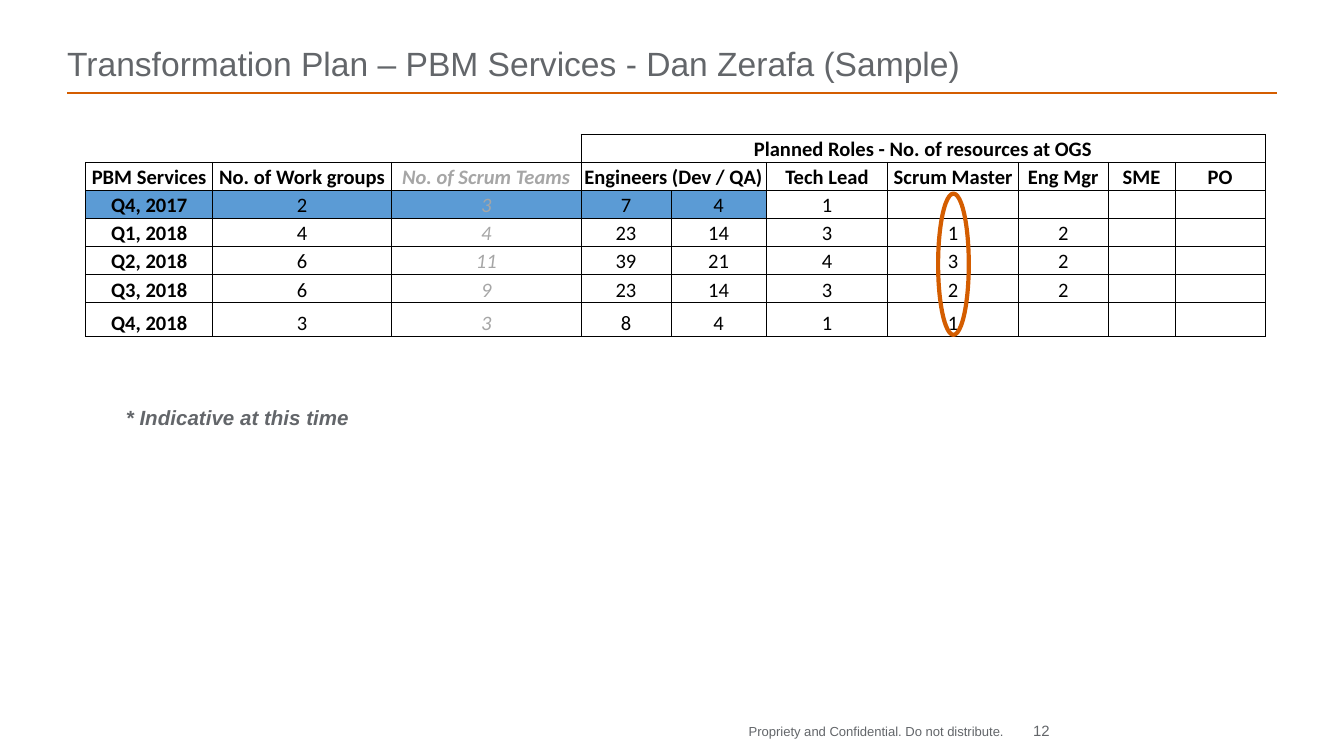
from lxml import etree
from pptx import Presentation
from pptx.dml.color import RGBColor
from pptx.enum import shapes, text
from pptx.oxml import ns
from pptx.util import Cm, Pt

ORANGE = RGBColor(0xD4, 0x5D, 0x00)
GRAY = RGBColor(0x63, 0x66, 0x6A)
LIGHT_GRAY = RGBColor(0xA6, 0xA6, 0xA6)
BLUE = RGBColor(0x5B, 0x9B, 0xD5)
BLACK = RGBColor(0x00, 0x00, 0x00)

COLUMN_WIDTHS = [2.4, 3.38, 3.58, 1.7, 1.8, 2.3, 2.47, 1.69, 1.27, 1.7]
ROW_HEIGHTS = [0.53] * 6 + [0.63]
TEAMS_COLUMN = 2
ROLES_COLUMN = 3
HIGHLIGHT_ROW = 2
HIGHLIGHT_COLUMNS = 5
ROWS = [
    ["", "", "", "Planned Roles - No. of resources at OGS", "", "", "", "", "", ""],
    ["PBM Services", "No. of Work groups", "No. of Scrum Teams", "Engineers (Dev / QA)", "",
     "Tech Lead", "Scrum Master", "Eng Mgr", "SME", "PO"],
    ["Q4, 2017", "2", "3", "7", "4", "1", "", "", "", ""],
    ["Q1, 2018", "4", "4", "23", "14", "3", "1", "2", "", ""],
    ["Q2, 2018", "6", "11", "39", "21", "4", "3", "2", "", ""],
    ["Q3, 2018", "6", "9", "23", "14", "3", "2", "2", "", ""],
    ["Q4, 2018", "3", "3", "8", "4", "1", "1", "", "", ""],
]


def set_font(paragraph, name, size, color, bold=False, italic=False):
    font = paragraph.font
    font.name = name
    font.size = Pt(size)
    font.color.rgb = color
    font.bold = bold
    font.italic = italic


def clear_margins(frame):
    frame.margin_left = frame.margin_right = frame.margin_top = frame.margin_bottom = 0


def add_title(slide, words):
    title = slide.shapes.title
    title.left, title.top, title.width, title.height = Cm(1.27), Cm(0.3), Cm(22.86), Cm(1.27)
    frame = title.text_frame
    clear_margins(frame)
    frame.auto_size = text.MSO_AUTO_SIZE.NONE
    frame.vertical_anchor = text.MSO_ANCHOR.BOTTOM
    frame.text = words
    paragraph = frame.paragraphs[0]
    paragraph.alignment = text.PP_ALIGN.LEFT
    set_font(paragraph, "Arial", 18, GRAY)


def add_rule(slide, left, top, right):
    rule = slide.shapes.add_connector(
        shapes.MSO_CONNECTOR.STRAIGHT, Cm(left), Cm(top), Cm(right), Cm(top))
    rule.line.color.rgb = ORANGE
    rule.line.width = Pt(1)
    etree.SubElement(rule._element.spPr, ns.qn("a:effectLst"))


def add_label(slide, box, words, size, wrap=False, margins=False, emphasis=False,
              alignment=text.PP_ALIGN.LEFT):
    frame = slide.shapes.add_textbox(*map(Cm, box)).text_frame
    frame.word_wrap = wrap
    if not margins:
        clear_margins(frame)
    frame.text = words
    paragraph = frame.paragraphs[0]
    paragraph.alignment = alignment
    set_font(paragraph, "Arial", size, GRAY, emphasis, emphasis)


def set_borders(cell, sides):
    properties = cell._tc.get_or_add_tcPr()
    for position, side in enumerate("LRTB"):
        visible = side in sides
        line = etree.Element(ns.qn(f"a:ln{side}"), w=str(Pt(0.5) if visible else 0))
        if visible:
            fill = etree.SubElement(line, ns.qn("a:solidFill"))
            etree.SubElement(fill, ns.qn("a:srgbClr"), val=str(BLACK))
        else:
            etree.SubElement(line, ns.qn("a:noFill"))
        properties.insert(position, line)


def format_cell(cell, row, column, words):
    clear_margins(cell)
    cell.vertical_anchor = text.MSO_ANCHOR.BOTTOM
    if row == HIGHLIGHT_ROW and column < HIGHLIGHT_COLUMNS:
        cell.fill.solid()
        cell.fill.fore_color.rgb = BLUE
    else:
        cell.fill.background()
    if row > 0 or column >= ROLES_COLUMN:
        set_borders(cell, "LRTB")
    else:
        set_borders(cell, "RB" if column == ROLES_COLUMN - 1 else "B")
    paragraph = cell.text_frame.paragraphs[0]
    paragraph.alignment = text.PP_ALIGN.CENTER
    is_team = column == TEAMS_COLUMN
    set_font(paragraph, "Calibri", 11, LIGHT_GRAY if is_team else BLACK,
             row < HIGHLIGHT_ROW or column == 0, is_team)
    if words:
        paragraph.add_run().text = words
    else:
        etree.SubElement(paragraph._p, ns.qn("a:endParaRPr"), sz="1100")


def add_plan_table(slide):
    table = slide.shapes.add_table(
        len(ROWS), len(COLUMN_WIDTHS), Cm(1.62), Cm(2.54),
        Cm(sum(COLUMN_WIDTHS)), Cm(sum(ROW_HEIGHTS))).table
    table.first_row = table.horz_banding = False
    for column, width in zip(table.columns, COLUMN_WIDTHS):
        column.width = Cm(width)
    for row, height in zip(table.rows, ROW_HEIGHTS):
        row.height = Cm(height)
    for row, values in enumerate(ROWS):
        for column, words in enumerate(values):
            format_cell(table.cell(row, column), row, column, words)
    table.cell(0, ROLES_COLUMN).merge(table.cell(0, len(COLUMN_WIDTHS) - 1))
    table.cell(1, ROLES_COLUMN).merge(table.cell(1, ROLES_COLUMN + 1))


def add_highlight_ring(slide, box):
    ring = slide.shapes.add_shape(shapes.MSO_SHAPE.OVAL, *map(Cm, box))
    ring.shadow.inherit = False
    ring.fill.background()
    ring.line.color.rgb = ORANGE
    ring.line.width = Pt(2.25)


def main():
    presentation = Presentation()
    presentation.slide_width = Cm(25.4)
    presentation.slide_height = Cm(14.29)
    slide = presentation.slides.add_slide(presentation.slide_layouts[5])
    add_rule(slide, 1.27, 1.75, 24.13)
    add_label(slide, (14.15, 13.67, 5.28, 0.48),
              "Propriety and Confidential. Do not distribute.", 7)
    add_title(slide, "Transformation Plan – PBM Services - Dan Zerafa (Sample)")
    add_label(slide, (19, 13.64, 0.84, 0.3), "12", 8, wrap=True,
              alignment=text.PP_ALIGN.RIGHT)
    add_plan_table(slide)
    add_label(slide, (2.13, 7.54, 4.75, 0.74), "* Indicative at this time", 11,
              margins=True, emphasis=True)
    add_highlight_ring(slide, (17.73, 3.66, 0.58, 2.67))
    presentation.save("out.pptx")


if __name__ == "__main__":
    main()
